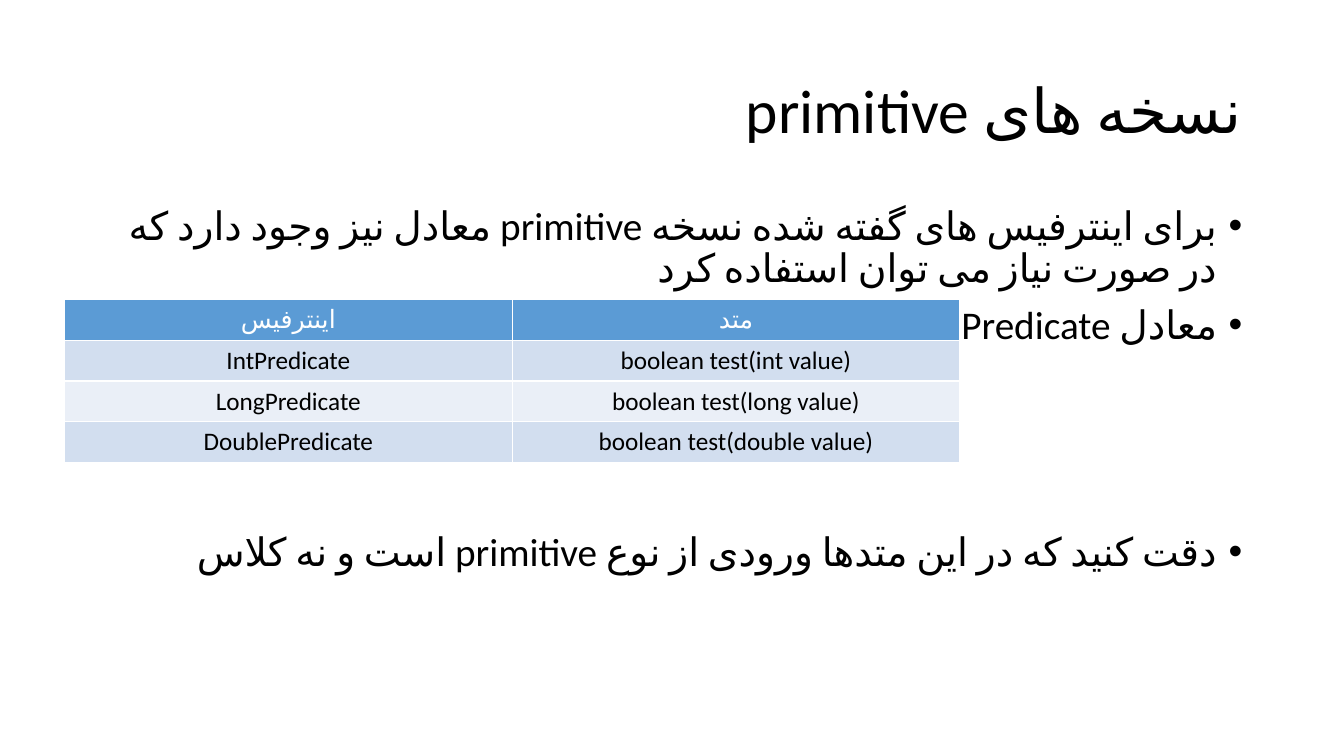
import pptx
import pptx.util
import pptx.dml.color
import pptx.enum.text
import pptx.enum.lang
import pptx.oxml
import pptx.oxml.ns
from pptx.util import Inches

ALIGN = pptx.enum.text.PP_ALIGN
ANCHOR = pptx.enum.text.MSO_ANCHOR
FONT = "Calibri"
BLACK, WHITE, BLUE = "000000", "FFFFFF", "5B9BD5"
BANDS = ["D2DEEF", "EAEFF7"]

TITLE = "نسخه های primitive"
# Each bullet with the space before it in points; the last clears the table.
POINTS = [
    ("برای اینترفیس های گفته شده نسخه primitive معادل نیز وجود دارد که"
     " در صورت نیاز می توان استفاده کرد", 10),
    ("معادل Predicate :", 10),
    ("دقت کنید که در این متدها ورودی از نوع primitive است و نه کلاس", 132),
]
ROWS = [
    ("اینترفیس", "متد"),
    ("IntPredicate", "boolean test(int value)"),
    ("LongPredicate", "boolean test(long value)"),
    ("DoublePredicate", "boolean test(double value)"),
]


def color(code):
    return pptx.dml.color.RGBColor.from_string(code)


def make(tag, attrs):
    ns = pptx.oxml.ns.nsdecls("a")
    return pptx.oxml.parse_xml(f"<a:{tag} {ns} {attrs}/>")


def style(para, size, code, align):
    """Set alignment and font, for Latin and Persian letters alike."""
    para.alignment = align
    for run in para.runs:
        run.font.name = FONT
        run.font.size = pptx.util.Pt(size)
        run.font.color.rgb = color(code)
        run.font.language_id = pptx.enum.lang.MSO_LANGUAGE_ID.FARSI
        run._r.get_or_add_rPr().append(make("cs", f'typeface="{FONT}"'))


def set_rtl(para):
    para.line_spacing = 0.9
    props = para._p.get_or_add_pPr()
    props.set("rtl", "1")
    return props


def add_bullet(para):
    props = set_rtl(para)
    props.set("marL", str(Inches(0.25)))
    props.set("indent", str(Inches(-0.25)))
    props.append(make("buFont", 'typeface="Arial"'))
    props.append(make("buChar", 'char="•"'))


def set_edges(cell):
    """Draw thin white lines on all four sides of a cell."""
    props = cell._tc.get_or_add_tcPr()
    ns = pptx.oxml.ns.nsdecls("a")
    for spot, side in enumerate("LRTB"):
        line = pptx.oxml.parse_xml(
            f'<a:ln{side} {ns} w="{pptx.util.Pt(1)}"><a:solidFill>'
            f'<a:srgbClr val="{WHITE}"/></a:solidFill></a:ln{side}>')
        props.insert(spot, line)


def fill_title(slide):
    title = slide.shapes.title
    title.left, title.top = Inches(0.92), Inches(0.4)
    title.width, title.height = Inches(11.5), Inches(1.45)
    frame = title.text_frame
    frame.text = TITLE
    frame.auto_size = pptx.enum.text.MSO_AUTO_SIZE.NONE
    frame.vertical_anchor = ANCHOR.MIDDLE
    para = frame.paragraphs[0]
    style(para, 44, BLACK, ALIGN.RIGHT)
    set_rtl(para)


def add_body(slide):
    box = slide.shapes.add_textbox(
        Inches(0.92), Inches(2), Inches(11.5), Inches(4.76))
    frame = box.text_frame
    frame.word_wrap = True
    frame.text = "\n".join(text for text, gap in POINTS)
    for para, (text, gap) in zip(frame.paragraphs, POINTS):
        style(para, 28, BLACK, ALIGN.RIGHT)
        para.space_before = pptx.util.Pt(gap)
        add_bullet(para)


def add_grid(slide):
    grid = slide.shapes.add_table(
        len(ROWS), len(ROWS[0]), Inches(0.64), Inches(2.97),
        Inches(8.88), Inches(1.62)).table
    for r, row in enumerate(ROWS):
        for c, text in enumerate(row):
            cell = grid.cell(r, c)
            cell.text = text
            cell.fill.solid()
            cell.fill.fore_color.rgb = color(BANDS[(r - 1) % 2] if r else BLUE)
            para = cell.text_frame.paragraphs[0]
            style(para, 18, BLACK if r else WHITE, ALIGN.CENTER)
            for run in para.runs:
                run.font.bold = False
            set_edges(cell)


def main():
    deck = pptx.Presentation()
    deck.slide_width, deck.slide_height = Inches(13.33), Inches(7.5)
    slide = deck.slides.add_slide(deck.slide_layouts.get_by_name("Title Only"))
    fill_title(slide)
    add_body(slide)
    add_grid(slide)
    deck.save("out.pptx")


if __name__ == "__main__":
    main()
